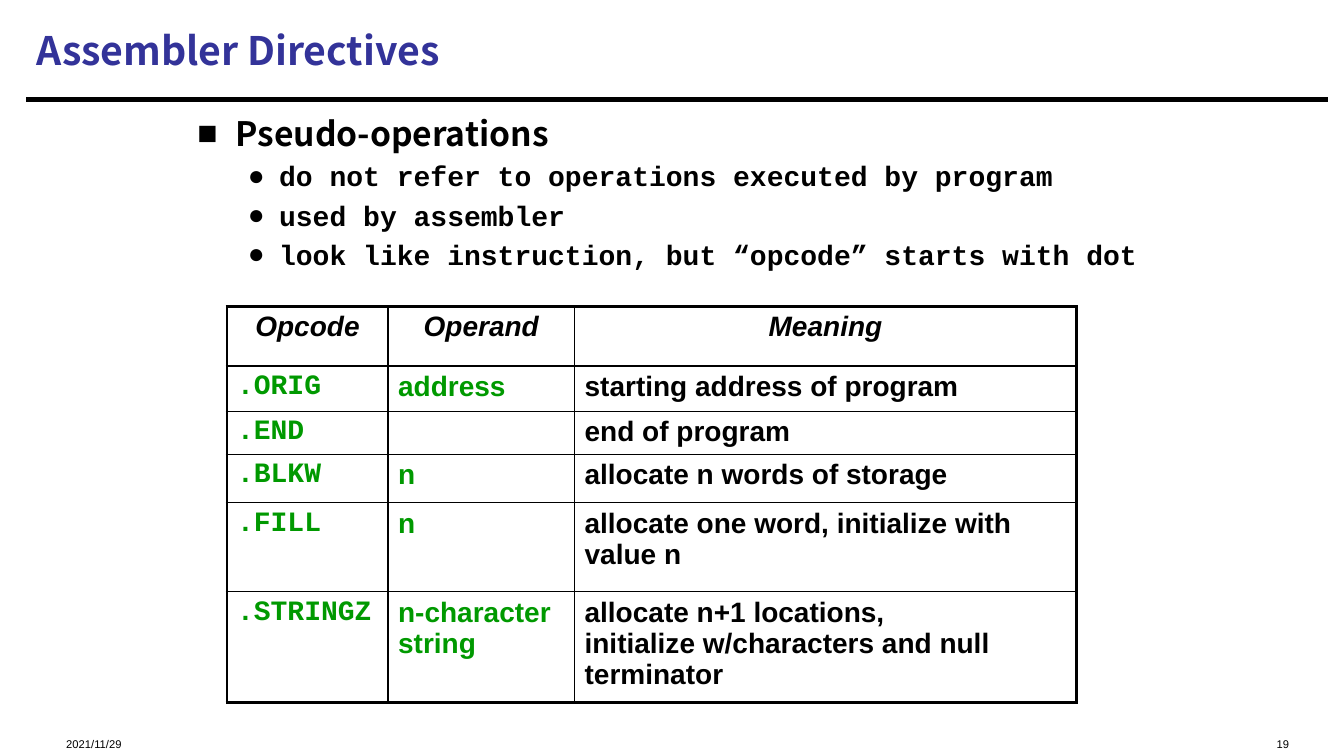
from dataclasses import dataclass

import pptx
import pptx.util
import pptx.dml.color
import pptx.enum.shapes
import pptx.enum.text
import pptx.oxml.ns
from lxml import etree

Cm, Pt = pptx.util.Cm, pptx.util.Pt
ALIGN = pptx.enum.text.PP_ALIGN
ANCHOR = pptx.enum.text.MSO_ANCHOR
qn = pptx.oxml.ns.qn


@dataclass(frozen=True)
class Theme:
    head: str = "Noto Sans CJK SC"
    sans: str = "Arial"
    mono: str = "Courier New"
    ink: str = "000000"
    blue: str = "333399"
    green: str = "009900"
    title: int = 28
    lead: int = 24
    text: int = 20
    foot: int = 8
    thin: float = 1
    thick: float = 2.25
    rule: float = 3.75


theme = Theme()


def style(para, face, size, color, bold=True, slant=False):
    for run in para.runs:
        font = run.font
        font.name, font.size = face, Pt(size)
        font.bold, font.italic = bold, slant
        font.color.rgb = pptx.dml.color.RGBColor.from_string(color)


def border(cell, side, width):
    """Draw one side (L, R, T or B) of a table cell; call in that order."""
    edge = etree.SubElement(cell._tc.get_or_add_tcPr(), qn("a:ln" + side), w=str(Pt(width)))
    fill = etree.SubElement(edge, qn("a:solidFill"))
    etree.SubElement(fill, qn("a:srgbClr"), val=theme.ink)


deck = pptx.Presentation()
deck.slide_width, deck.slide_height = Cm(33.87), Cm(19.05)
slide = deck.slides.add_slide(deck.slide_layouts[1])

# Title and the rule under it
title = slide.shapes.title
title.left, title.top, title.width, title.height = Cm(0.66), Cm(0.2), Cm(32.74), Cm(2.13)
frame = title.text_frame
frame.text = "Assembler Directives"
frame.auto_size = pptx.enum.text.MSO_AUTO_SIZE.NONE
frame.vertical_anchor = ANCHOR.MIDDLE
frame.paragraphs[0].alignment = ALIGN.LEFT
style(frame.paragraphs[0], theme.head, theme.title, theme.blue)

rule = slide.shapes.add_connector(
    pptx.enum.shapes.MSO_CONNECTOR.STRAIGHT, Cm(0.66), Cm(2.51), Cm(33.48), Cm(2.51))
rule.line.width = Pt(theme.rule)
rule.line.color.rgb = pptx.dml.color.RGBColor.from_string(theme.ink)
etree.SubElement(rule._element.spPr, qn("a:effectLst"))

# Bullet list
body = slide.placeholders[1]
body.left, body.top, body.width, body.height = Cm(4.72), Cm(2.72), Cm(24.56), Cm(5)
frame = body.text_frame
frame.auto_size = pptx.enum.text.MSO_AUTO_SIZE.NONE
points = [
    (0, "Pseudo-operations"),
    (1, "do not refer to operations executed by program"),
    (1, "used by assembler"),
    (1, "look like instruction, but “opcode” starts with dot"),
]
levels = [
    ("■", 0.96, 0.96, theme.head, theme.lead),
    ("●", 2.06, 0.79, theme.mono, theme.text),
]
frame.text = "\n".join(words for level, words in points)
for para, (level, words) in zip(frame.paragraphs, points):
    mark, left, hang, face, size = levels[level]
    para.level = level
    props = para._p.get_or_add_pPr()
    props.set("marL", str(Cm(left)))
    props.set("indent", str(-Cm(hang)))
    etree.SubElement(props, qn("a:buFont"), typeface=theme.sans)
    etree.SubElement(props, qn("a:buChar"), char=mark)
    style(para, face, size, theme.ink)
frame.paragraphs[0].space_before = Pt(0)

# Table of directives
rows = [
    ("Opcode", "Operand", "Meaning"),
    (".ORIG", "address", "starting address of program"),
    (".END", "", "end of program"),
    (".BLKW", "n", "allocate n words of storage"),
    (".FILL", "n", "allocate one word, initialize with value n"),
    (".STRINGZ", "n-character\vstring",
     "allocate n+1 locations,\vinitialize w/characters and null terminator"),
]
widths = [4.06, 4.7, 12.65]
heights = [1.5, 1.14, 1.09, 1.22, 2.24, 2.79]
looks = [(theme.mono, theme.green), (theme.sans, theme.green), (theme.sans, theme.ink)]

table = slide.shapes.add_table(
    len(rows), len(widths), Cm(5.72), Cm(7.72), Cm(sum(widths)), Cm(sum(heights))).table
table.first_row = table.horz_banding = False
for col, width in zip(table.columns, widths):
    col.width = Cm(width)
for row, height in zip(table.rows, heights):
    row.height = Cm(height)

for i, row in enumerate(rows):
    for j, words in enumerate(row):
        cell = table.cell(i, j)
        cell.text = words
        para = cell.text_frame.paragraphs[0]
        if i == 0:
            para.alignment = ALIGN.CENTER
            style(para, theme.sans, theme.text, theme.ink, slant=True)
        else:
            face, color = looks[j]
            style(para, face, theme.text, color)
        heavy = {"L": j == 0, "R": j == len(widths) - 1,
                 "T": i <= 1, "B": i in (0, len(rows) - 1)}
        for side, strong in heavy.items():
            border(cell, side, theme.thick if strong else theme.thin)
        cell.fill.background()

# Date and slide number
for words, left, width, align in [
    ("2021/11/29", 1.42, 8.46, ALIGN.LEFT),
    ("19", 22.58, 10.16, ALIGN.RIGHT),
]:
    frame = slide.shapes.add_textbox(Cm(left), Cm(18.16), Cm(width), Cm(0.69)).text_frame
    frame.word_wrap = True
    frame.margin_top, frame.margin_bottom = Cm(0.48), 0
    frame.text = words
    frame.paragraphs[0].alignment = align
    style(frame.paragraphs[0], theme.sans, theme.foot, theme.ink, bold=False)

deck.save("out.pptx")
